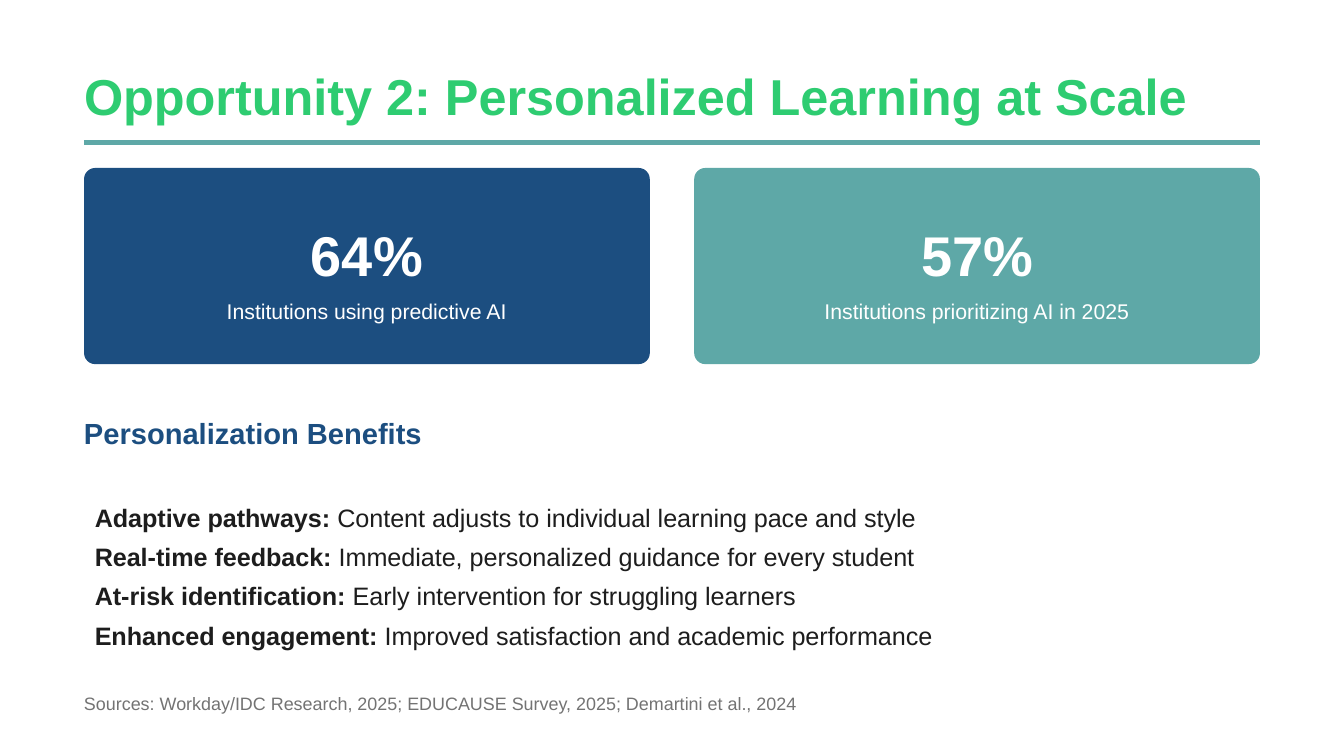
from dataclasses import dataclass

from lxml.etree import SubElement
from pptx import Presentation
from pptx.dml.color import RGBColor
from pptx.enum.shapes import MSO_CONNECTOR, MSO_SHAPE
from pptx.enum.text import PP_ALIGN
from pptx.oxml.ns import qn
from pptx.slide import Slide
from pptx.text.text import TextFrame, _Run
from pptx.util import Inches, Pt


@dataclass(frozen=True)
class TextStyle:
    size: float
    line_height: float
    color: str
    bold: bool = False
    align: PP_ALIGN = PP_ALIGN.LEFT


@dataclass(frozen=True)
class Theme:
    font: str = "Arial"
    background: str = "FFFFFF"
    navy: str = "1C4E80"
    teal: str = "5EA8A7"
    title: TextStyle = TextStyle(27, 30, "2ECC71", bold=True)
    figure: TextStyle = TextStyle(30, 42, "FFFFFF", bold=True, align=PP_ALIGN.CENTER)
    caption: TextStyle = TextStyle(11.4, 16, "FFFFFF", align=PP_ALIGN.CENTER)
    heading: TextStyle = TextStyle(15.6, 18.7, "1C4E80", bold=True)
    benefit: TextStyle = TextStyle(13.5, 21, "1D1D1D")
    sources: TextStyle = TextStyle(9.6, 13.4, "737373")


@dataclass(frozen=True)
class StatCard:
    figure: str
    caption: str
    fill: str


@dataclass(frozen=True)
class Benefit:
    name: str
    detail: str


THEME = Theme()
SLIDE_WIDTH = 10
SLIDE_HEIGHT = SLIDE_WIDTH * 9 / 16
LEFT = SLIDE_WIDTH / 16
RIGHT = SLIDE_WIDTH - LEFT
CARD_TOP, CARD_WIDTH, CARD_HEIGHT = 1.25, 4.21, 1.46
CARD_PADDING = 0.22

CARDS = [
    StatCard("64%", "Institutions using predictive AI", THEME.navy),
    StatCard("57%", "Institutions prioritizing AI in 2025", THEME.teal),
]
BENEFITS = [
    Benefit("Adaptive pathways:", "Content adjusts to individual learning pace and style"),
    Benefit("Real-time feedback:", "Immediate, personalized guidance for every student"),
    Benefit("At-risk identification:", "Early intervention for struggling learners"),
    Benefit("Enhanced engagement:", "Improved satisfaction and academic performance"),
]


def add_frame(slide: Slide, left: float, top: float, width: float, height: float) -> TextFrame:
    """Add a wrapping text box without margins and return its text frame."""
    box = slide.shapes.add_textbox(Inches(left), Inches(top), Inches(width), Inches(height))
    frame = box.text_frame
    frame.word_wrap = True
    frame.margin_left = frame.margin_top = frame.margin_right = frame.margin_bottom = 0
    return frame


def format_span(span: _Run, style: TextStyle, bold: bool) -> None:
    span.font.name = THEME.font
    span.font.size = Pt(style.size)
    span.font.bold = bold
    span.font.color.rgb = RGBColor.from_string(style.color)


def add_text(slide: Slide, text: str, style: TextStyle,
             left: float, top: float, width: float, height: float) -> None:
    para = add_frame(slide, left, top, width, height).paragraphs[0]
    para.text = text
    para.alignment = style.align
    para.line_spacing = Pt(style.line_height)
    format_span(para.runs[0], style, style.bold)


def add_title_rule(slide: Slide, top: float) -> None:
    rule = slide.shapes.add_connector(
        MSO_CONNECTOR.STRAIGHT, Inches(LEFT), Inches(top), Inches(RIGHT), Inches(top))
    rule.line.color.rgb = RGBColor.from_string(THEME.teal)
    rule.line.width = Pt(3)
    SubElement(rule._element.spPr, qn("a:effectLst"))


def add_card(slide: Slide, card: StatCard, left: float) -> None:
    panel = slide.shapes.add_shape(
        MSO_SHAPE.ROUNDED_RECTANGLE,
        Inches(left), Inches(CARD_TOP), Inches(CARD_WIDTH), Inches(CARD_HEIGHT))
    panel.adjustments[0] = 0.057
    panel.shadow.inherit = False
    panel.fill.solid()
    panel.fill.fore_color.rgb = RGBColor.from_string(card.fill)
    panel.line.fill.background()

    text_left = left + CARD_PADDING
    text_width = CARD_WIDTH - 2 * CARD_PADDING
    add_text(slide, card.figure, THEME.figure, text_left, CARD_TOP + 0.31, text_width, 0.58)
    add_text(slide, card.caption, THEME.caption, text_left, CARD_TOP + 0.94, text_width, 0.22)


def add_benefits(slide: Slide, top: float) -> None:
    frame = add_frame(slide, LEFT, top, RIGHT - LEFT, 1.29)
    frame.margin_left = Inches(0.08)
    for index, benefit in enumerate(BENEFITS):
        para = frame.add_paragraph() if index else frame.paragraphs[0]
        para.line_spacing = Pt(THEME.benefit.line_height)
        for text, bold in ((benefit.name, True), (f" {benefit.detail}", False)):
            span = para.add_run()
            span.text = text
            format_span(span, THEME.benefit, bold)


def main() -> None:
    deck = Presentation()
    deck.slide_width, deck.slide_height = Inches(SLIDE_WIDTH), Inches(SLIDE_HEIGHT)
    slide = deck.slides.add_slide(deck.slide_layouts[6])
    slide.background.fill.solid()
    slide.background.fill.fore_color.rgb = RGBColor.from_string(THEME.background)

    add_title_rule(slide, 1.06)
    add_text(slide, "Opportunity 2: Personalized Learning at Scale", THEME.title,
             LEFT, 0.52, 8.38, 0.52)

    card_step = RIGHT - LEFT - CARD_WIDTH
    for index, card in enumerate(CARDS):
        add_card(slide, card, LEFT + index * card_step)

    add_text(slide, "Personalization Benefits", THEME.heading, LEFT, 3.09, 8.93, 0.26)
    add_benefits(slide, 3.67)
    add_text(slide,
             "Sources: Workday/IDC Research, 2025; EDUCAUSE Survey, 2025; Demartini et al., 2024",
             THEME.sources, LEFT, 5.13, 8.93, 0.19)
    deck.save("out.pptx")


if __name__ == "__main__":
    main()
